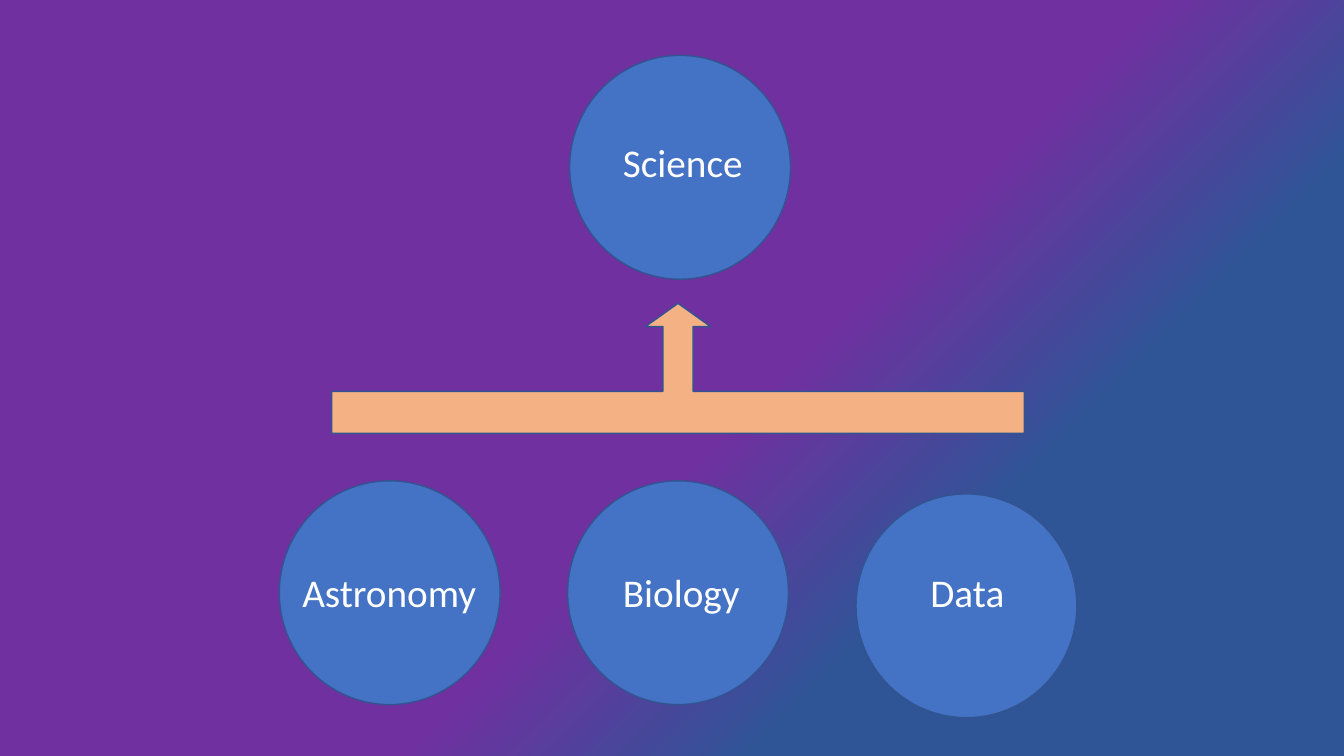
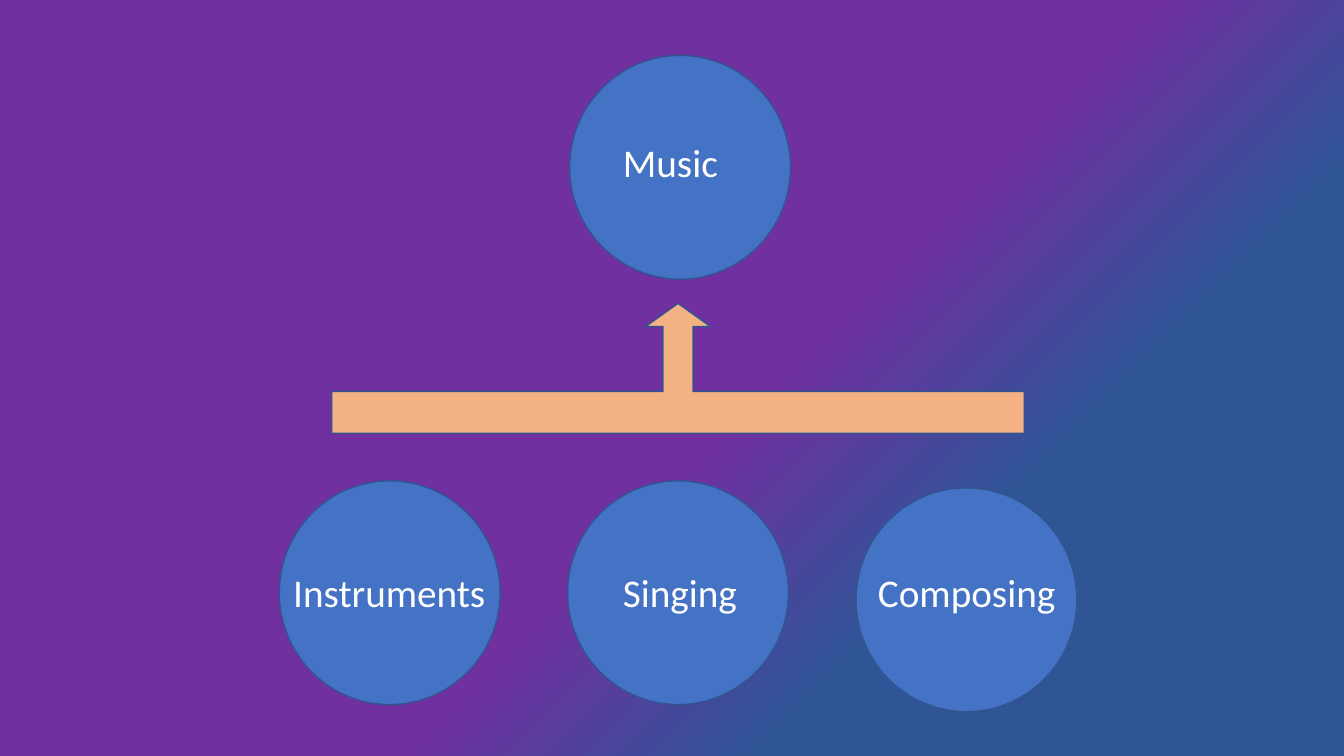
"""Build two topic diagrams in which three fields lead up to one subject."""
from dataclasses import dataclass

from pptx import Presentation
from pptx.dml.color import RGBColor as RGB
from pptx.enum.shapes import MSO_SHAPE as SHAPE
from pptx.enum.text import MSO_AUTO_SIZE as AUTO
from pptx.util import Inches, Pt


@dataclass(frozen=True)
class Theme:
    """Colours, type and line sizes shared by the slides."""
    purple: str = "7030A0"
    navy: str = "2F5597"
    circle: str = "4472C4"
    callout: str = "F4B183"
    outline: str = "325491"
    text: str = "FFFFFF"
    font: str = "Calibri"
    label: int = 28
    line: int = 1


THEME = Theme()
CIRCLE_W, CIRCLE_H = 2.19, 2.22
SUBJECT_X, SUBJECT_Y = 5.65, 0.55
FIELD_X, FIELD_Y, FIELD_STEP = 2.77, 4.77, 2.86
SUBJECT_LABEL_Y, FIELD_LABEL_Y, LABEL_H = 1.32, 5.59, 0.57
CENTRE_LABEL_X, LABEL_W = 6.08, 1.99
CALLOUT_BOX = (6.08, 0.22, 1.29, 6.87)
CALLOUT_ADJ = (0.232, 0.25, 0.178, 0.324)

SLIDES = [
    {"subject": "Science", "last_y": 4.9,
     "fields": [("Astronomy", 2.9, LABEL_W),
                ("Biology", CENTRE_LABEL_X, LABEL_W),
                ("Data", 9.13, LABEL_W)]},
    {"subject": "Music", "last_y": 4.84,
     "fields": [("Instruments", 2.81, 2.12),
                ("Singing", CENTRE_LABEL_X, LABEL_W),
                ("Composing", 8.61, 2.47)]},
]


def set_background(s):
    """Fill the slide with the diagonal purple to navy gradient."""
    fill = s.background.fill
    fill.gradient()
    fill.gradient_angle = 315
    stops = ((0.55, THEME.purple), (0.72, THEME.navy))
    for stop, (position, color) in zip(fill.gradient_stops, stops):
        stop.position = position
        stop.color.rgb = RGB.from_string(color)


def add_figure(s, kind, box, fill):
    """Add an outlined preset shape and return it."""
    sp = s.shapes.add_shape(kind, *map(Inches, box))
    sp.shadow.inherit = False
    sp.fill.solid()
    sp.fill.fore_color.rgb = RGB.from_string(fill)
    sp.line.color.rgb = RGB.from_string(THEME.outline)
    sp.line.width = Pt(THEME.line)
    return sp


def add_circle(s, x, y):
    """Add one topic circle."""
    add_figure(s, SHAPE.OVAL, (x, y, CIRCLE_W, CIRCLE_H), THEME.circle)


def add_text(s, text, x, y, w, *, h=LABEL_H, size=THEME.label, color=THEME.text):
    """Add a text box holding one run."""
    tf = s.shapes.add_textbox(*map(Inches, (x, y, w, h))).text_frame
    tf.word_wrap = True
    tf.auto_size = AUTO.SHAPE_TO_FIT_TEXT
    r = tf.paragraphs[0].add_run()
    r.text = text
    r.font.name = THEME.font
    r.font.size = Pt(size)
    r.font.color.rgb = RGB.from_string(color)


def add_callout(s):
    """Add the wide bar whose arrow points up to the subject."""
    sp = add_figure(s, SHAPE.RIGHT_ARROW_CALLOUT, CALLOUT_BOX, THEME.callout)
    sp.rotation = 270
    for i, value in enumerate(CALLOUT_ADJ):
        sp.adjustments[i] = value


def add_diagram(prs, subject, fields, last_y):
    """Add a slide with a subject above its row of fields."""
    s = prs.slides.add_slide(prs.slide_layouts[6])
    set_background(s)
    add_circle(s, SUBJECT_X, SUBJECT_Y)
    add_text(s, subject, CENTRE_LABEL_X, SUBJECT_LABEL_Y, LABEL_W)
    tops = (FIELD_Y, FIELD_Y, last_y)
    for i, ((name, x, w), y) in enumerate(zip(fields, tops)):
        add_circle(s, FIELD_X + i * FIELD_STEP, y)
        add_text(s, name, x, FIELD_LABEL_Y, w)
    add_callout(s)


def main():
    """Build and save the presentation."""
    prs = Presentation()
    prs.slide_width, prs.slide_height = Inches(13.33), Inches(7.5)
    for content in SLIDES:
        add_diagram(prs, **content)
    prs.save("out.pptx")


if __name__ == "__main__":
    main()
